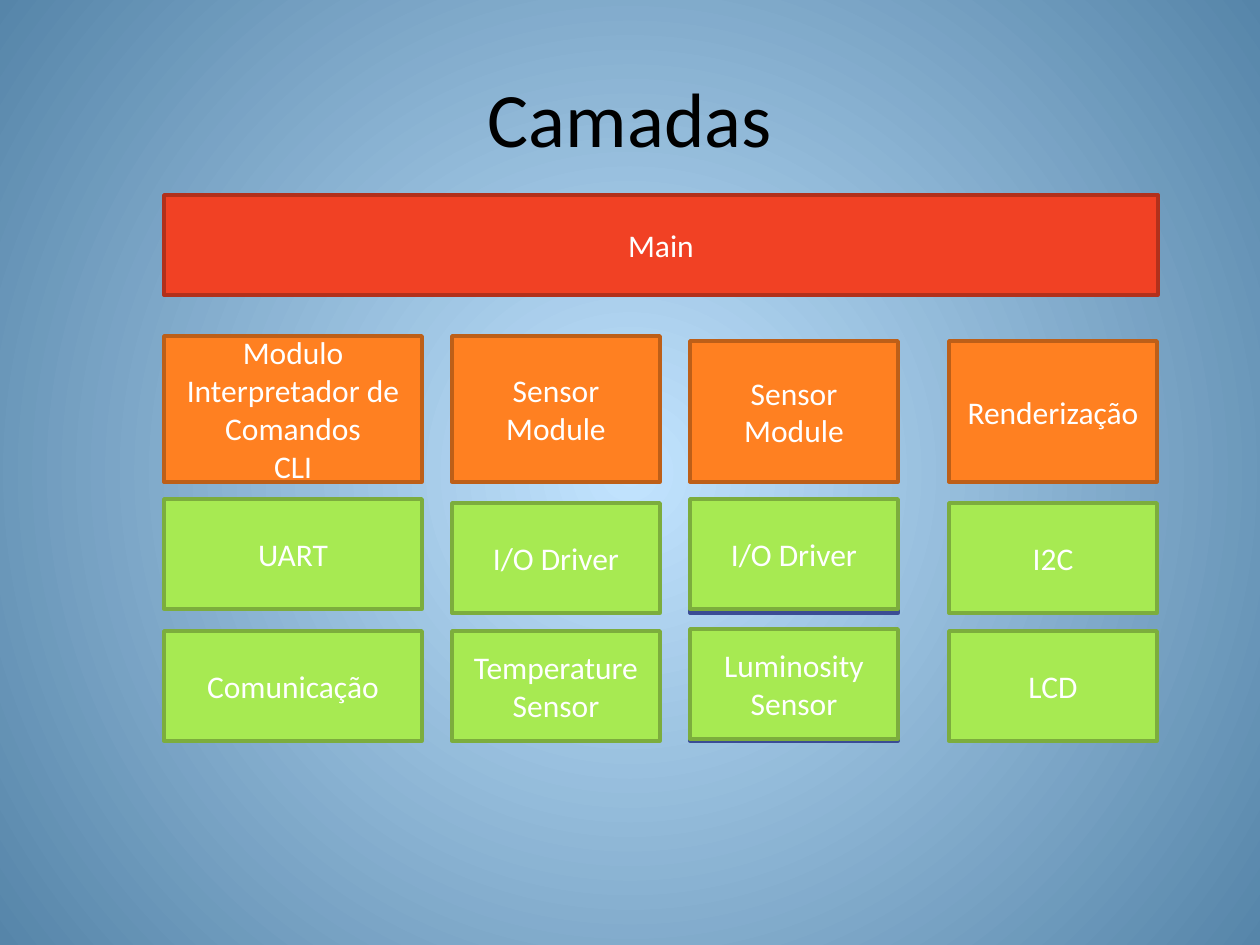
from lxml import etree
from pptx import Presentation
from pptx import util as u
from pptx.dml.color import RGBColor
from pptx.enum import shapes, text
from pptx.oxml.ns import qn

SCALE = 914400 // 126
EMU_PER_PIXEL = 914400 / 126
COLORS = {
    "center": "C2E4FF", "edge": "5685A9", "title": "000000", "label": "FFFFFF",
    "red": "F14124", "red_line": "B2301B",
    "orange": "FF8021", "orange_line": "BD5F18",
    "green": "A7EA52", "green_line": "7CAD3D",
    "blue": "4E67C8", "blue_line": "3A4C94",
}
COLUMNS = [(164, 258), (452, 208), (690, 208), (949, 208)]
DRIVER_HEIGHT = 110
MODULE_BOTTOM = 482
MODULES = [
    ("Modulo Interpretador de Comandos\vCLI", 336),
    ("Sensor Module", 336),
    ("Sensor Module", 341),
    ("Renderização", 341),
]
DRIVERS = [("UART", 499), ("I/O Driver", 503), ("I/O Driver", 499), ("I2C", 503)]
DEVICES = [("Comunicação", 631), ("Temperature Sensor", 631),
           ("Luminosity Sensor", 629), ("LCD", 631)]
BACKING_TOPS = [503, 631]


def px(*lengths):
    return [u.Emu(round(length * EMU_PER_PIXEL)) for length in lengths]


def rgb(name):
    return RGBColor.from_string(COLORS[name])


def write(frame, words, size=18, color="label", font="Calibri"):
    frame.word_wrap = True
    frame.vertical_anchor = text.MSO_ANCHOR.MIDDLE
    paragraph = frame.paragraphs[0]
    paragraph.text = words
    paragraph.alignment = text.PP_ALIGN.CENTER
    for run in paragraph.runs:
        run.font.size = u.Pt(size)
        run.font.name = font
        run.font.color.rgb = rgb(color)


def paint_background(slide):
    fill = slide.background.fill
    fill.gradient()
    for stop, name in zip(fill.gradient_stops, ("center", "edge")):
        stop.color.rgb = rgb(name)
    gradient = slide.element.find(".//" + qn("a:gradFill"))
    gradient.remove(gradient.find(qn("a:lin")))
    circle = etree.SubElement(gradient, qn("a:path"), {"path": "circle"})
    etree.SubElement(circle, qn("a:fillToRect"), dict.fromkeys("ltrb", "50000"))


def add_title(slide, words):
    title = slide.shapes.add_textbox(*px(63, 38, 1134, 157))
    write(title.text_frame, words, size=44, color="title")


def add_layer(slide, box, color, words=""):
    layer = slide.shapes.add_shape(shapes.MSO_SHAPE.RECTANGLE, *px(*box))
    layer.shadow.inherit = False
    layer.fill.solid()
    layer.fill.fore_color.rgb = rgb(color)
    layer.line.color.rgb = rgb(color + "_line")
    layer.line.width = u.Pt(2)
    if words:
        write(layer.text_frame, words)


def main():
    deck = Presentation()
    deck.slide_width, deck.slide_height = u.Inches(10), u.Inches(7.5)
    slide = deck.slides.add_slide(deck.slide_layouts[6])
    paint_background(slide)
    add_title(slide, "Camadas")
    add_layer(slide, (164, 195, 994, 100), "red", "Main")
    for (left, width), (words, top) in zip(COLUMNS, MODULES):
        add_layer(slide, (left, top, width, MODULE_BOTTOM - top), "orange", words)
    luminosity_left, luminosity_width = COLUMNS[2]
    for top in BACKING_TOPS:
        add_layer(slide, (luminosity_left, top, luminosity_width, DRIVER_HEIGHT), "blue")
    for row in (DRIVERS, DEVICES):
        for (left, width), (words, top) in zip(COLUMNS, row):
            add_layer(slide, (left, top, width, DRIVER_HEIGHT), "green", words)
    deck.save("out.pptx")


main()
